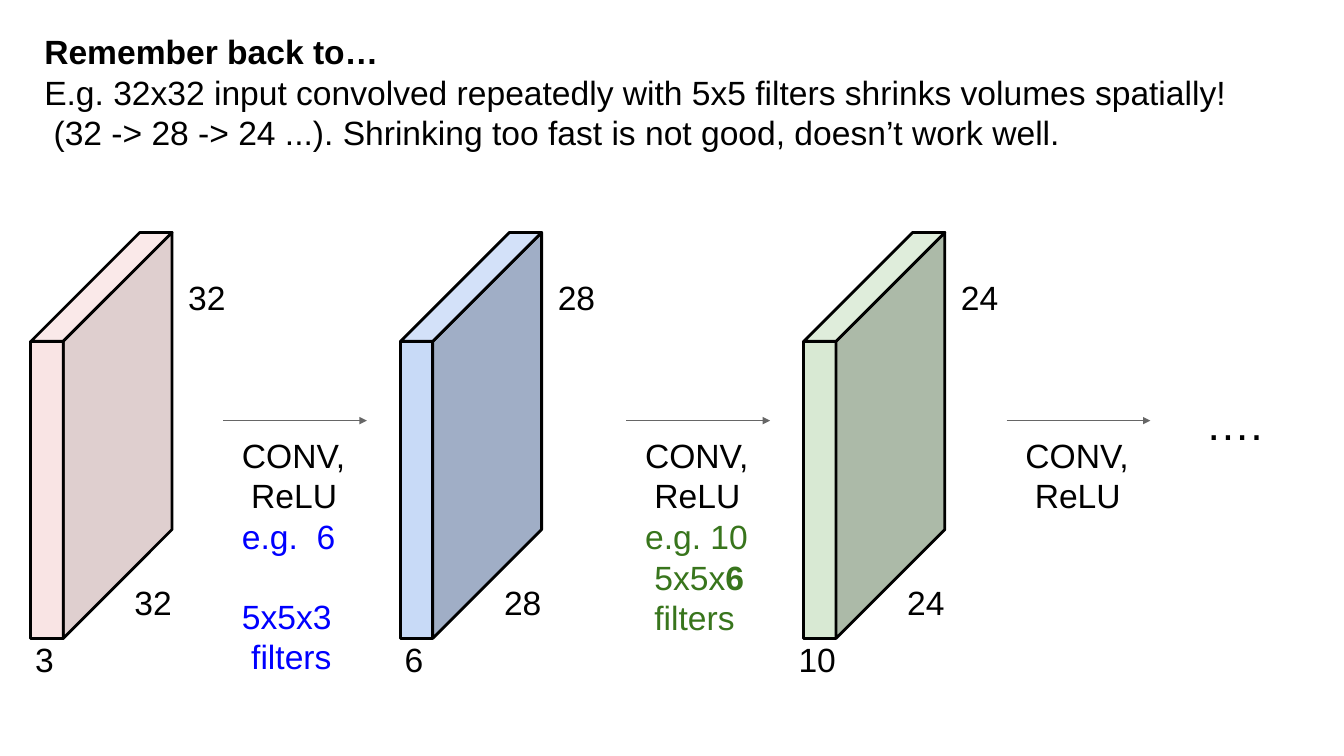
from pptx import Presentation
from pptx.dml.color import RGBColor
from pptx.enum.shapes import MSO_CONNECTOR
from pptx.enum.text import PP_ALIGN
from pptx.oxml.ns import qn
from pptx.util import Pt
from lxml.etree import SubElement

PX = 9144  # EMU per px, 100 px to the inch
BLACK, GREY, BLUE, GREEN = "000000", "666666", "0000FF", "38751C"


def color(hex_code):
    return RGBColor.from_string(hex_code)


class Painter:
    font, size, line_spacing = "Arial", 18, 1.01

    def __init__(self, slide):
        self.slide = slide

    def text(self, x, y, w, h, paragraphs, size=None, align=PP_ALIGN.LEFT):
        """Each paragraph is (space before, runs); a run is (text, style)."""
        frame = self.slide.shapes.add_textbox(x * PX, y * PX, w * PX, h * PX).text_frame
        frame.word_wrap = True
        frame.margin_right = frame.margin_bottom = 0
        frame.margin_left = 0 if align == PP_ALIGN.CENTER else 2 * PX
        frame.margin_top = PX
        for i, (before, runs) in enumerate(paragraphs):
            paragraph = frame.add_paragraph() if i else frame.paragraphs[0]
            paragraph.alignment = align
            paragraph.line_spacing = self.line_spacing
            if before:
                paragraph.space_before = Pt(before)
            for words, style in runs:
                self.run(paragraph, words, size or self.size, **style)

    def run(self, paragraph, words, size, ink=BLACK, bold=False, tracking=0):
        for i, line in enumerate(words.split("\n")):
            if i:
                paragraph.add_line_break()
            if not line:
                continue
            run = paragraph.add_run()
            run.text = line
            run.font.name, run.font.size, run.font.bold = self.font, Pt(size), bold
            run.font.color.rgb = color(ink)
            if tracking:
                run.font._element.set("spc", str(tracking * 100))

    def label(self, x, y, w, h, words, **options):
        self.text(x, y, w, h, [(0, [(words, {})])], **options)

    def face(self, points, fill, opacity):
        builder = self.slide.shapes.build_freeform(*points[0], scale=PX)
        builder.add_line_segments(points[1:], close=True)
        face = builder.convert_to_shape()
        face.shadow.inherit = False
        face.fill.solid()
        face.fill.fore_color.rgb = color(fill)
        if opacity < 100:
            solid = face._element.spPr.find(qn("a:solidFill"))
            SubElement(solid[0], qn("a:alpha")).set("val", str(opacity * 1000))
        face.line.color.rgb = color(BLACK)
        face.line.width = Pt(1.5)

    def volume(self, x, depth, side, fills, opacity=100):
        # Slab corners: front edge x..front, pushed back and up by 81
        top, bottom, front, back = 254, 475, x + 24, 81
        front_face = [(x, top), (front, top), (front, bottom), (x, bottom)]
        side_face = [(front, bottom), (front, top),
                     (front + back, top - back), (front + back, bottom - back)]
        top_face = [(front, top), (x, top),
                    (x + back, top - back), (front + back, top - back)]
        for points, fill in zip((front_face, side_face, top_face), fills):
            self.face(points, fill, opacity)
        self.label(x + 75, 432, 31, 33, side)
        self.label(x + 115, 205, 31, 33, side)
        self.label(x - 6, 474, 32, 33, depth, align=PP_ALIGN.CENTER)

    def arrow(self, x, y, length):
        arrow = self.slide.shapes.add_connector(
            MSO_CONNECTOR.STRAIGHT, x * PX, y * PX, (x + length) * PX, y * PX)
        arrow.line.color.rgb = color(GREY)
        arrow.line.width = Pt(0.75)
        properties = arrow._element.spPr
        head = SubElement(properties.find(qn("a:ln")), qn("a:tailEnd"))
        for key, value in (("type", "triangle"), ("w", "sm"), ("len", "sm")):
            head.set(key, value)
        SubElement(properties, qn("a:effectLst"))

    def convolution(self, x, filters=()):
        self.arrow(x, 313, 107)
        self.text(x + 12, 322, 82, 154 if filters else 63,
                  [(0, [("CONV,\n ReLU", {})]), *filters])


def main():
    deck = Presentation()
    deck.slide_width = 1000 * PX
    deck.slide_height = deck.slide_width * 9 // 16
    painter = Painter(deck.slides.add_slide(deck.slide_layouts[6]))

    # Heading and explanation
    painter.text(31, 22, 251, 33, [(0, [("Remember back to…", {"bold": True})])])
    painter.label(31, 52, 890, 63,
                  "E.g. 32x32 input convolved repeatedly with 5x5 filters shrinks volumes "
                  "spatially!\n (32 -> 28 -> 24 ...). Shrinking too fast is not good, "
                  "doesn’t work well.")

    # Volumes, each smaller in space than the one before
    painter.volume(23, "3", "32", ("F4CCCC", "C3A3A3", "F6D6D6"), opacity=52)
    painter.volume(298, "6", "28", ("C8DAF7", "A0AEC6", "D3E1F9"))
    painter.volume(598, "10", "24", ("D8E9D3", "ACBAA8", "DFEDDB"))

    # Convolution steps between the volumes
    blue, green = {"ink": BLUE}, {"ink": GREEN}
    painter.convolution(166, [
        (0, [("e.g.", blue), (" ", {"ink": BLUE, "tracking": 5}), ("6", blue)]),
        (21, [("5x5x3\n filters", blue)])])
    painter.convolution(466, [
        (0, [("e.g. 10\n 5x5x", green), ("6", {"ink": GREEN, "bold": True}),
             ("\n filters", green)])])
    painter.convolution(749)
    painter.label(895, 293, 45, 43, "….", size=24)

    deck.save("out.pptx")


if __name__ == "__main__":
    main()
